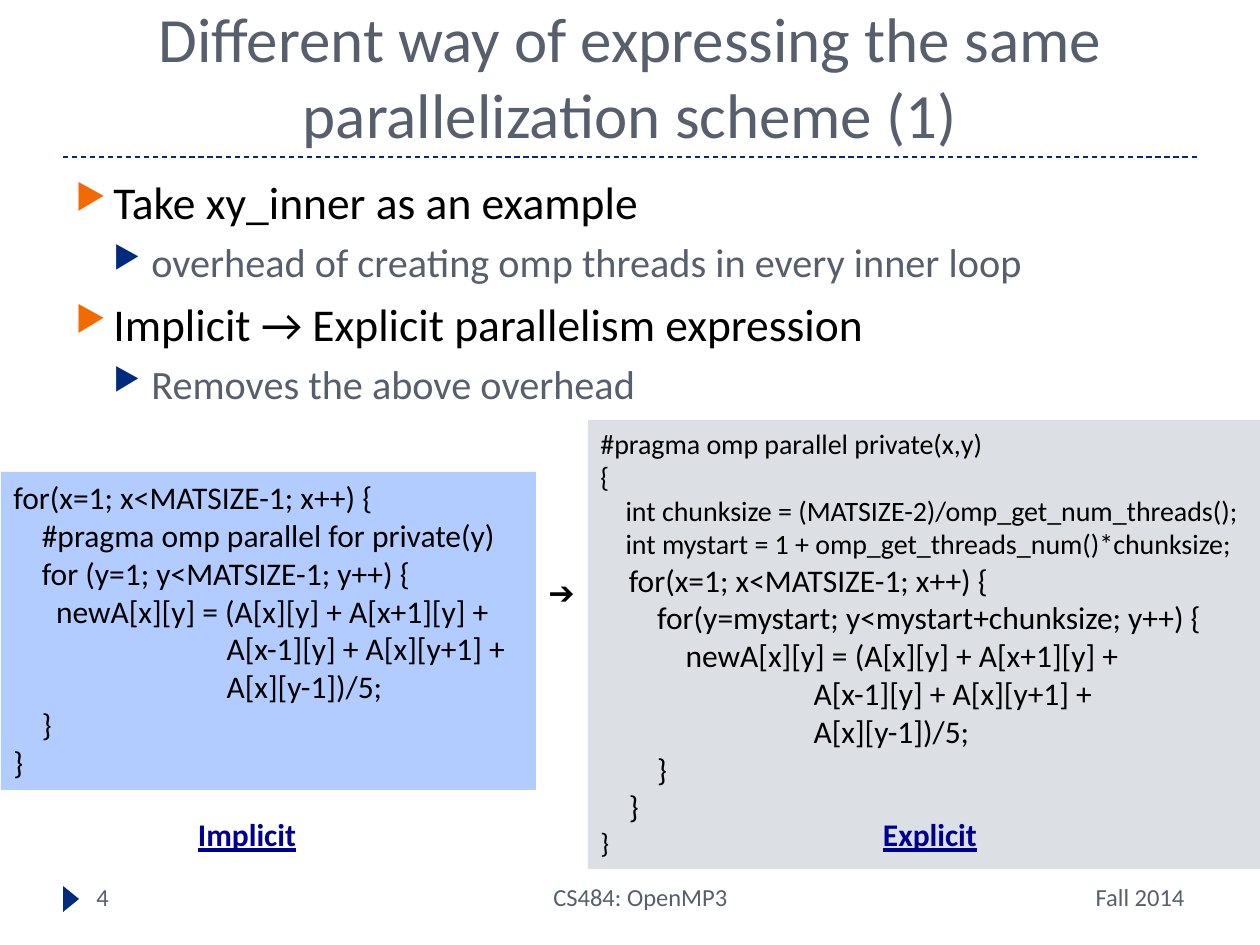
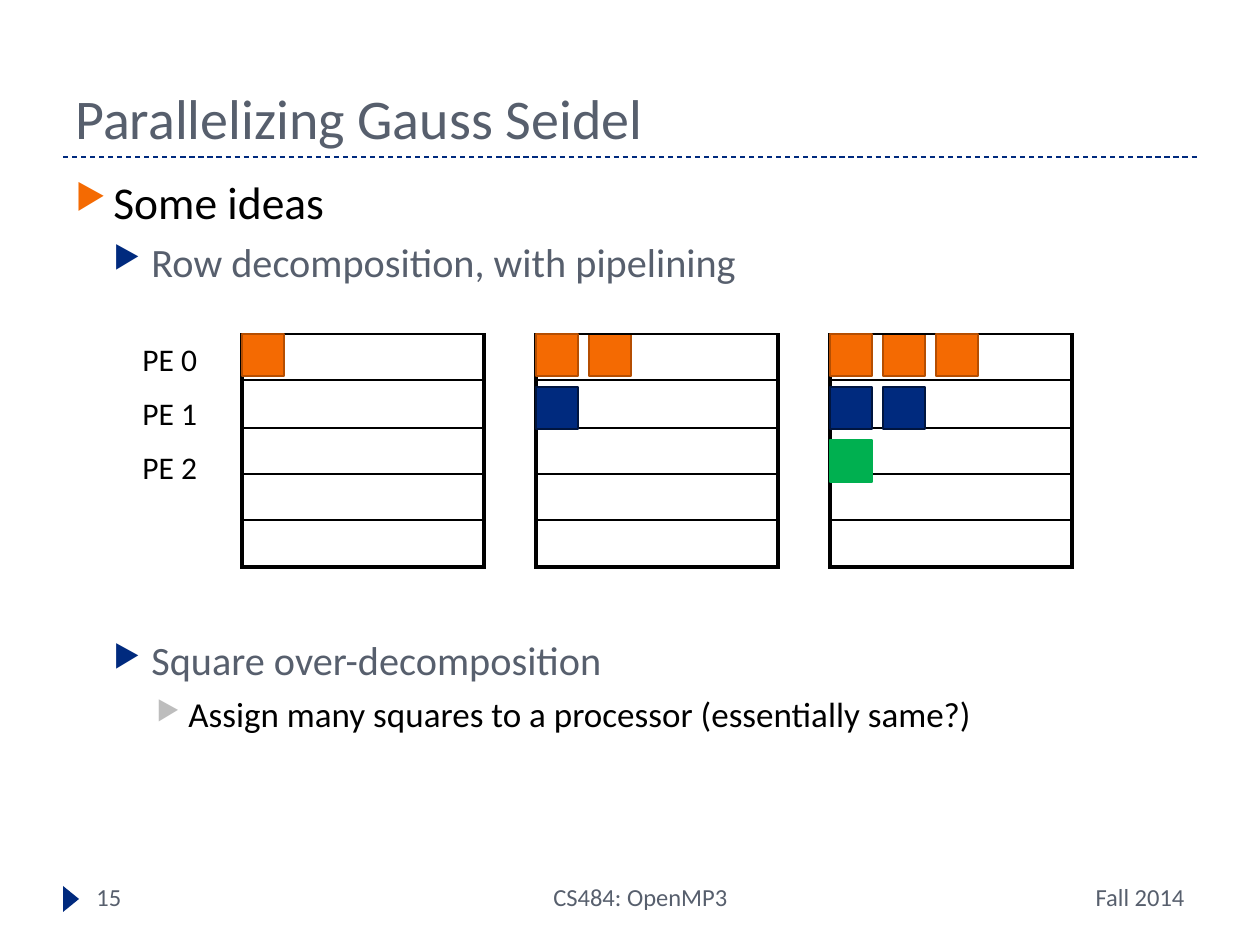
import pptx
import pptx.dml.color
import pptx.enum.dml
import pptx.enum.shapes
import pptx.enum.text
import pptx.oxml
import pptx.oxml.ns
import pptx.util

ALIGN = pptx.enum.text.PP_ALIGN
SHAPE = pptx.enum.shapes.MSO_SHAPE
INK, SLATE, NAVY, ORANGE = "000000", "575F6D", "002A7E", "F46A02"
GREEN, LINK = "00B050", "000090"

# Per outline level: bullet colour, text colour, size, indent, hang, space before
LEVELS = [
    (ORANGE, INK, 26, 38, 38, 6),
    (NAVY, SLATE, 23, 76, 38, 5),
    ("BDBDBD", INK, 20, 113, 32, 5),
]


def px(num):
    return pptx.util.Emu(round(num * 914400 / 126))


def rgb(code):
    return pptx.dml.color.RGBColor.from_string(code)


def node(xml):
    """Turn a snippet in the a: namespace into an element."""
    tag, rest = xml[:xml.index(">")], xml[xml.index(">"):]
    end = "/" if tag.endswith("/") else ""
    return pptx.oxml.parse_xml(
        f"{tag.rstrip('/')} {pptx.oxml.ns.nsdecls('a')}{end}{rest}")


class Deck:
    font = "Calibri"

    def __init__(self):
        self.prs = pptx.Presentation()
        self.prs.slide_width, self.prs.slide_height = px(1260), px(945)

    def start(self, title, page, size, align=ALIGN.LEFT):
        """Begin a slide with its rule, title and footer."""
        self.slide = self.prs.slides.add_slide(self.prs.slide_layouts[6])
        self.line(63, 157, 1197, NAVY, 0.75, dash=True)
        mark = self.block(58, 891, 26, 16, NAVY, kind=SHAPE.ISOSCELES_TRIANGLE)
        mark.rotation = 90
        box = self.text(63, 21, 1134, 136, title, size, SLATE, align)
        box.text_frame.vertical_anchor = pptx.enum.text.MSO_ANCHOR.BOTTOM
        foot = [(84, 273, str(page), ALIGN.LEFT),
                (399, 483, "CS484: OpenMP3", ALIGN.CENTER),
                (882, 315, "Fall 2014", ALIGN.RIGHT)]
        for left, wide, words, side in foot:
            self.text(left, 876, wide, 50, words, 14, SLATE, side)

    def style(self, para, size, color, align=ALIGN.LEFT, bold=False):
        para.alignment = align
        for run in para.runs:
            run.font.name, run.font.size = self.font, pptx.util.Pt(size)
            run.font.color.rgb = rgb(color)
            if bold:
                run.font.bold = run.font.underline = True

    def text(self, left, top, wide, high, words, size=18, color=INK,
             align=ALIGN.LEFT, bold=False, wrap=True):
        box = self.slide.shapes.add_textbox(px(left), px(top), px(wide), px(high))
        box.text_frame.word_wrap = wrap
        box.text_frame.text = words
        self.style(box.text_frame.paragraphs[0], size, color, align, bold)
        return box

    def block(self, left, top, wide, high, fill, edge=None, kind=SHAPE.RECTANGLE):
        shape = self.slide.shapes.add_shape(
            kind, px(left), px(top), px(wide), px(high))
        shape.shadow.inherit = False
        shape.fill.solid()
        shape.fill.fore_color.rgb = rgb(fill)
        if edge:
            shape.line.color.rgb = rgb(edge)
            shape.line.width = pptx.util.Pt(1.5)
        else:
            shape.line.fill.background()
        return shape

    def line(self, left, top, right, color, width, dash=False):
        rule = self.slide.shapes.add_connector(
            pptx.enum.shapes.MSO_CONNECTOR.STRAIGHT,
            px(left), px(top), px(right), px(top))
        rule.line.color.rgb = rgb(color)
        rule.line.width = pptx.util.Pt(width)
        if dash:
            rule.line.dash_style = pptx.enum.dml.MSO_LINE.DASH
        rule._element.spPr.append(node("<a:effectLst/>"))

    def code(self, left, top, wide, high, fill, rows):
        """Panel of code; rows are (size, line) pairs."""
        frame = self.block(left, top, wide, high, fill).text_frame
        frame.word_wrap = True
        frame.vertical_anchor = pptx.enum.text.MSO_ANCHOR.TOP
        frame.text = "\n".join(line for _, line in rows)
        for para, (size, _) in zip(frame.paragraphs, rows):
            self.style(para, size, INK)

    def body(self, items):
        """Bulleted outline; items are (level, words[, space before])."""
        frame = self.text(63, 168, 1134, 680, "").text_frame
        frame.text = "\n".join(item[1] for item in items)
        for i, (para, item) in enumerate(zip(frame.paragraphs, items)):
            level, _, *gap = item
            dot, color, size, left, hang, space = LEVELS[level]
            para.level = level
            props = para._p.get_or_add_pPr()
            props.set("marL", str(px(left)))
            props.set("indent", str(-px(hang)))
            props.append(node(f'<a:buClr><a:srgbClr val="{dot}"/></a:buClr>'))
            props.append(node('<a:buSzPct val="76000"/>'))
            props.append(node('<a:buChar char="▶"/>'))
            if i:
                para.space_before = pptx.util.Pt(gap[0] if gap else space)
            self.style(para, size, color)

    def grid(self, left, top, cols, rows):
        """Empty table with a heavy frame and thin row lines."""
        table = self.slide.shapes.add_table(
            len(rows), len(cols), px(left), px(top),
            px(sum(cols)), px(sum(rows))).table
        table.first_row = table.horz_banding = False
        for col, wide in zip(table.columns, cols):
            col.width = px(wide)
        for r, high in enumerate(rows):
            table.rows[r].height = px(high)
            for c in range(len(cols)):
                self.cell(table.cell(r, c), L=2.25 * (c == 0),
                          R=2.25 * (c == len(cols) - 1), T=1,
                          B=2.25 if r == len(rows) - 1 else 1)

    def cell(self, cell, **edges):
        cell.margin_left = cell.margin_right = 0
        cell.margin_top = cell.margin_bottom = 0
        props = cell._tc.get_or_add_tcPr()
        for side, width in edges.items():
            fill = (f'<a:solidFill><a:srgbClr val="{INK}"/></a:solidFill>'
                    if width else "<a:noFill/>")
            props.append(node(f'<a:ln{side} w="{pptx.util.Pt(width)}">'
                              f"{fill}</a:ln{side}>"))
        cell.fill.background()


def loops(deck):
    deck.start("Different way of expressing the same parallelization scheme (1)",
               4, 36, ALIGN.CENTER)
    deck.body([
        (0, "Take xy_inner as an example"),
        (1, "overhead of creating omp threads in every inner loop"),
        (0, "Implicit → Explicit parallelism expression"),
        (1, "Removes the above overhead"),
    ])
    deck.text(536, 567, 53, 50, "➔")
    deck.code(1, 472, 535, 318, "B2CCFF", [(18, row) for row in (
        "for(x=1; x<MATSIZE-1; x++) {",
        "    #pragma omp parallel for private(y)",
        "    for (y=1; y<MATSIZE-1; y++) {",
        "      newA[x][y] = (A[x][y] + A[x+1][y] +",
        "                              A[x-1][y] + A[x][y+1] +",
        "                              A[x][y-1])/5;",
        "    }",
        "}",
    )])
    deck.code(588, 420, 672, 449, "DCDFE3", [
        (16, "#pragma omp parallel private(x,y)"),
        (16, "{"),
        (16, "    int chunksize = (MATSIZE-2)/omp_get_num_threads();"),
        (16, "    int mystart = 1 + omp_get_threads_num()*chunksize;"),
        (18, "    for(x=1; x<MATSIZE-1; x++) {"),
        (18, "        for(y=mystart; y<mystart+chunksize; y++) {"),
        (18, "            newA[x][y] = (A[x][y] + A[x+1][y] +"),
        (18, "                              A[x-1][y] + A[x][y+1] +"),
        (18, "                              A[x][y-1])/5;"),
        (18, "        }"),
        (18, "    }"),
        (16, "}"),
    ])
    for left, name in ((105, "Implicit"), (788, "Explicit")):
        deck.text(left, 809, 284, 50, name, 18, LINK, ALIGN.CENTER, bold=True)


def seidel(deck):
    deck.start("Parallelizing Gauss Seidel", 15, 32)
    deck.body([
        (0, "Some ideas"),
        (1, "Row decomposition, with pipelining"),
        (1, "Square over-decomposition", 200),
        (2, "Assign many squares to a processor (essentially same?)"),
    ])
    top, step = 334, 53
    tints = [(ORANGE, "B54E01"), (NAVY, "00153F"), (GREEN, GREEN)]

    def tile(left, row, col):
        deck.block(left + step * col, top + step * row, 42, 42, *tints[row])

    for wave in range(3):
        left = 242 + 294 * wave
        if wave:
            tile(left, 0, 1)  # lies under the grid lines
        deck.grid(left, top, [48, 49, 48, 49, 48], [46, 48, 46, 46, 47])
        deck.line(left, top, left + 242, INK, 1.5)
        for row in range(wave + 1):
            for col in range(wave + 1 - row):
                if (row, col) != (0, 1):
                    tile(left, row, col)
    for row in range(3):
        deck.text(130, top + 54 * row, 81, 50, f"PE {row}", wrap=False)


def main():
    deck = Deck()
    loops(deck)
    seidel(deck)
    deck.prs.save("out.pptx")


if __name__ == "__main__":
    main()
